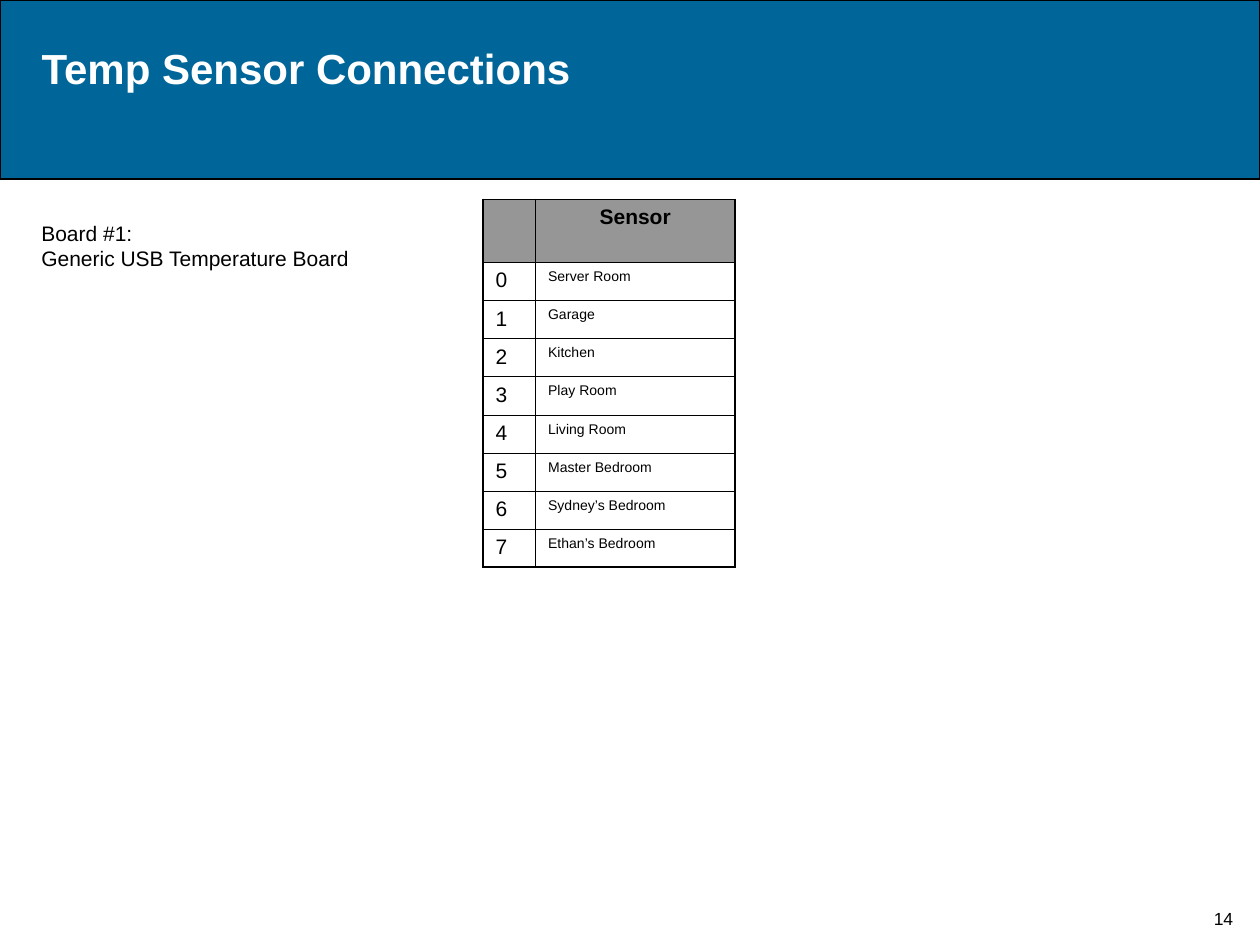
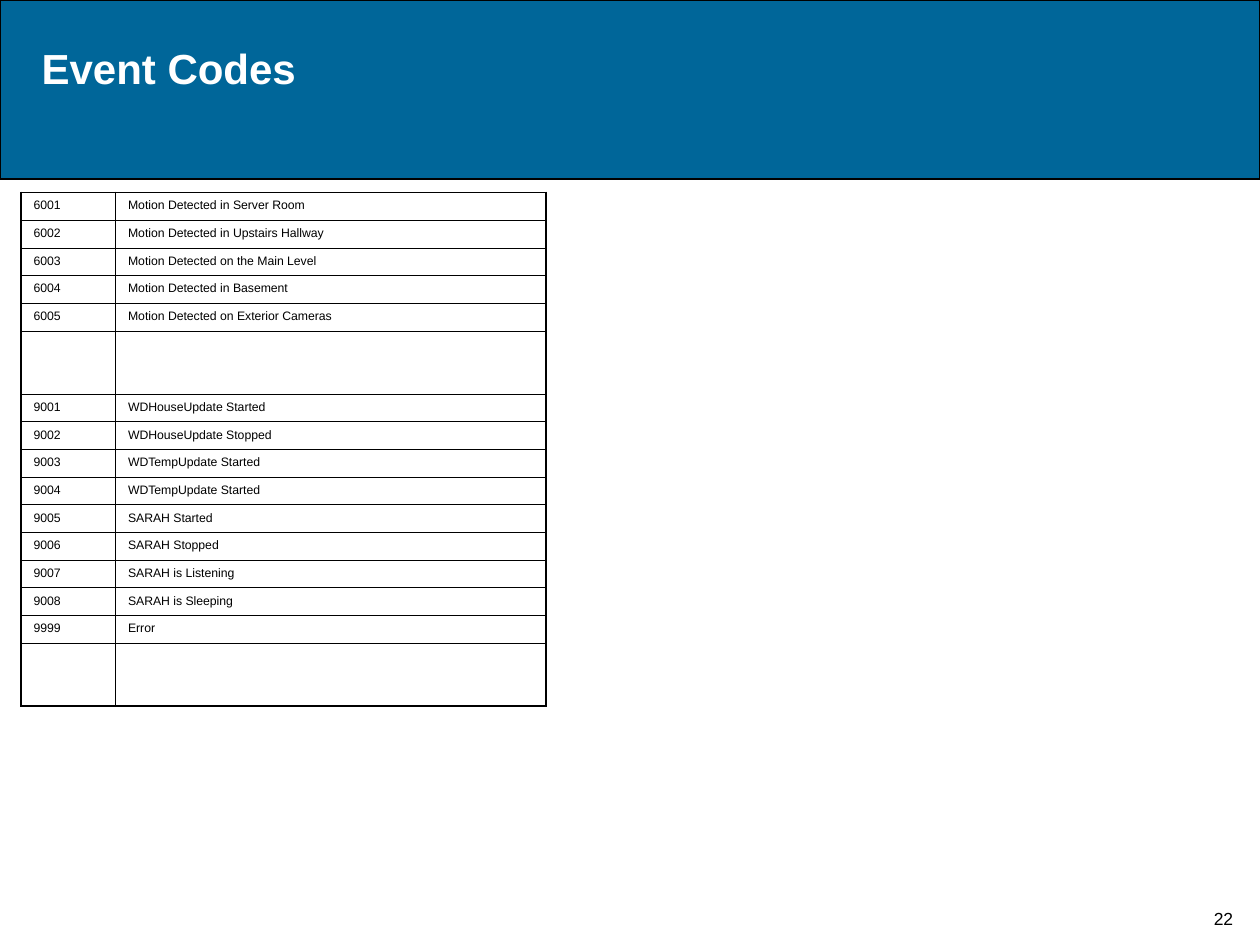
"""Build the sensor and event code slides."""
import dataclasses
import typing

import lxml.etree
import pptx
import pptx.dml.color
import pptx.enum.shapes
import pptx.enum.text
import pptx.oxml.ns
import pptx.util

Pt = pptx.util.Pt
ALIGN = pptx.enum.text.PP_ALIGN
ANCHOR = pptx.enum.text.MSO_ANCHOR

FONT = "Arial"
BLACK, WHITE, BLUE, GRAY = "000000", "FFFFFF", "006699", "969696"
WIDE, HIGH = 720, 540
THICK, THIN = 1.08, 0.45
GAP = 36  # height of header and spacer rows


@dataclasses.dataclass
class Style:
    """Format of one table column."""
    width: float
    size: float
    before: float


@dataclasses.dataclass
class Grid:
    """A ruled table: place, columns, row height and text rows."""
    left: float
    top: float
    cols: list[Style]
    step: float
    rows: list[tuple[str, str]]
    head: bool = False


def color(code: str) -> pptx.dml.color.RGBColor:
    """Turn a hex string into a colour."""
    return pptx.dml.color.RGBColor.from_string(code)


def write(frame: typing.Any, text: str, *, size: float = 12, ink: str = BLACK,
          bold: bool = False, align: ALIGN = ALIGN.LEFT, before: float = 0,
          anchor: ANCHOR = ANCHOR.TOP, wrap: bool = True) -> None:
    """Fill a text frame, one paragraph for each line of text."""
    frame.text = text
    frame.word_wrap = wrap
    frame.vertical_anchor = anchor
    for para in frame.paragraphs:
        para.alignment = align
        para.space_before = Pt(before)
        for run in para.runs:
            font = run.font
            font.name, font.size, font.bold = FONT, Pt(size), bold
            font.color.rgb = color(ink)


def label(slide: typing.Any, box: tuple[float, ...], text: str, **form: typing.Any) -> None:
    """Add a text box."""
    write(slide.shapes.add_textbox(*map(Pt, box)).text_frame, text, **form)


def rule(cell: typing.Any, **sides: float) -> None:
    """Draw the cell borders, given as side letter and width."""
    props = cell._tc.get_or_add_tcPr()
    for side, width in sides.items():
        line = lxml.etree.SubElement(props, pptx.oxml.ns.qn(f"a:ln{side}"), w=str(int(Pt(width))))
        fill = lxml.etree.SubElement(line, pptx.oxml.ns.qn("a:solidFill"))
        lxml.etree.SubElement(fill, pptx.oxml.ns.qn("a:srgbClr"), val=BLACK)


def chart(slide: typing.Any, grid: Grid) -> None:
    """Draw a grid with a thick frame and thin inner rules."""
    count, span = len(grid.rows), len(grid.cols)
    steps = [grid.step if row[0] else GAP for row in grid.rows]
    width = sum(col.width for col in grid.cols)
    table = slide.shapes.add_table(count, span, Pt(grid.left), Pt(grid.top),
                                   Pt(width), Pt(sum(steps))).table
    table.first_row = table.horz_banding = False
    for col, style in enumerate(grid.cols):
        table.columns[col].width = Pt(style.width)
    for row, texts in enumerate(grid.rows):
        table.rows[row].height = Pt(steps[row])
        head = grid.head and row == 0
        for col, (text, style) in enumerate(zip(texts, grid.cols)):
            cell = table.cell(row, col)
            rule(cell, L=THIN if col else THICK,
                 R=THICK if col == span - 1 else THIN,
                 T=THIN if row else THICK,
                 B=THICK if row == count - 1 else THIN)
            if head:
                cell.fill.solid()
                cell.fill.fore_color.rgb = color(GRAY)
            else:
                cell.fill.background()
            if text and head:
                write(cell.text_frame, text, bold=True, align=ALIGN.CENTER, before=3)
            elif text:
                write(cell.text_frame, text, size=style.size, before=style.before)


def page(deck: typing.Any, title: str, number: int) -> typing.Any:
    """Add a slide with its band, title and page number."""
    slide = deck.slides.add_slide(deck.slide_layouts[5])
    band = slide.shapes.add_shape(pptx.enum.shapes.MSO_SHAPE.RECTANGLE,
                                  0, 0, Pt(WIDE), Pt(102.24))
    band.shadow.inherit = False
    band.fill.solid()
    band.fill.fore_color.rgb = color(BLUE)
    band.line.color.rgb = color(BLACK)
    band.line.width = Pt(0.99)
    head = slide.shapes.title
    head.element.addprevious(band.element)
    head.left, head.top, head.width, head.height = map(Pt, (16.56, 20.88, 679, 36))
    write(head.text_frame, title, size=24, ink=WHITE, bold=True)
    label(slide, (684, 498.24, 30.24, 36), str(number), size=10,
          align=ALIGN.CENTER, anchor=ANCHOR.BOTTOM, wrap=False)
    return slide


ROOMS = ["Server Room", "Garage", "Kitchen", "Play Room", "Living Room",
         "Master Bedroom", "Sydney’s Bedroom", "Ethan’s Bedroom"]

EVENTS = [
    ("6001", "Motion Detected in Server Room"),
    ("6002", "Motion Detected in Upstairs Hallway"),
    ("6003", "Motion Detected on the Main Level"),
    ("6004", "Motion Detected in Basement"),
    ("6005", "Motion Detected on Exterior Cameras"),
    ("", ""),
    ("9001", "WDHouseUpdate Started"),
    ("9002", "WDHouseUpdate Stopped"),
    ("9003", "WDTempUpdate Started"),
    ("9004", "WDTempUpdate Started"),
    ("9005", "SARAH Started"),
    ("9006", "SARAH Stopped"),
    ("9007", "SARAH is Listening"),
    ("9008", "SARAH is Sleeping"),
    ("9999", "Error"),
    ("", ""),
]


def sensors(deck: typing.Any) -> None:
    """Build the slide of sensor connections."""
    slide = page(deck, "Temp Sensor Connections", 14)
    rows = [("", "Sensor")] + [(str(pin), room) for pin, room in enumerate(ROOMS)]
    chart(slide, Grid(276, 114, [Style(30, 12, 3), Style(114, 8, 2)], 21.78, rows, head=True))
    label(slide, (16.56, 122.4, 214.56, 50.4),
          "Board #1:\nGeneric USB Temperature Board")


def events(deck: typing.Any) -> None:
    """Build the slide of event codes."""
    slide = page(deck, "Event Codes", 22)
    chart(slide, Grid(12, 110, [Style(54, 7, 1.8), Style(246, 7, 1.8)], 15.82, EVENTS))


def main() -> None:
    """Build and save the deck."""
    deck = pptx.Presentation()
    deck.slide_width, deck.slide_height = Pt(WIDE), Pt(HIGH)
    sensors(deck)
    events(deck)
    deck.save("out.pptx")


main()
